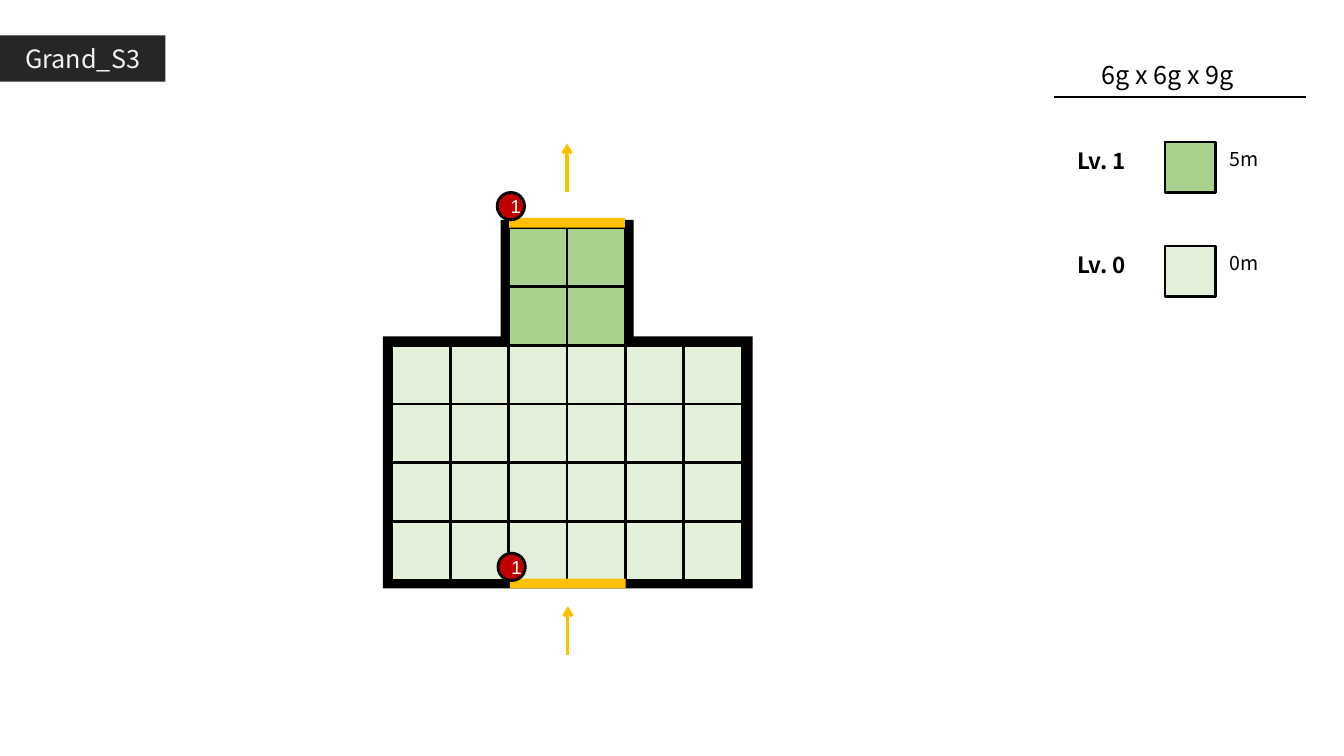
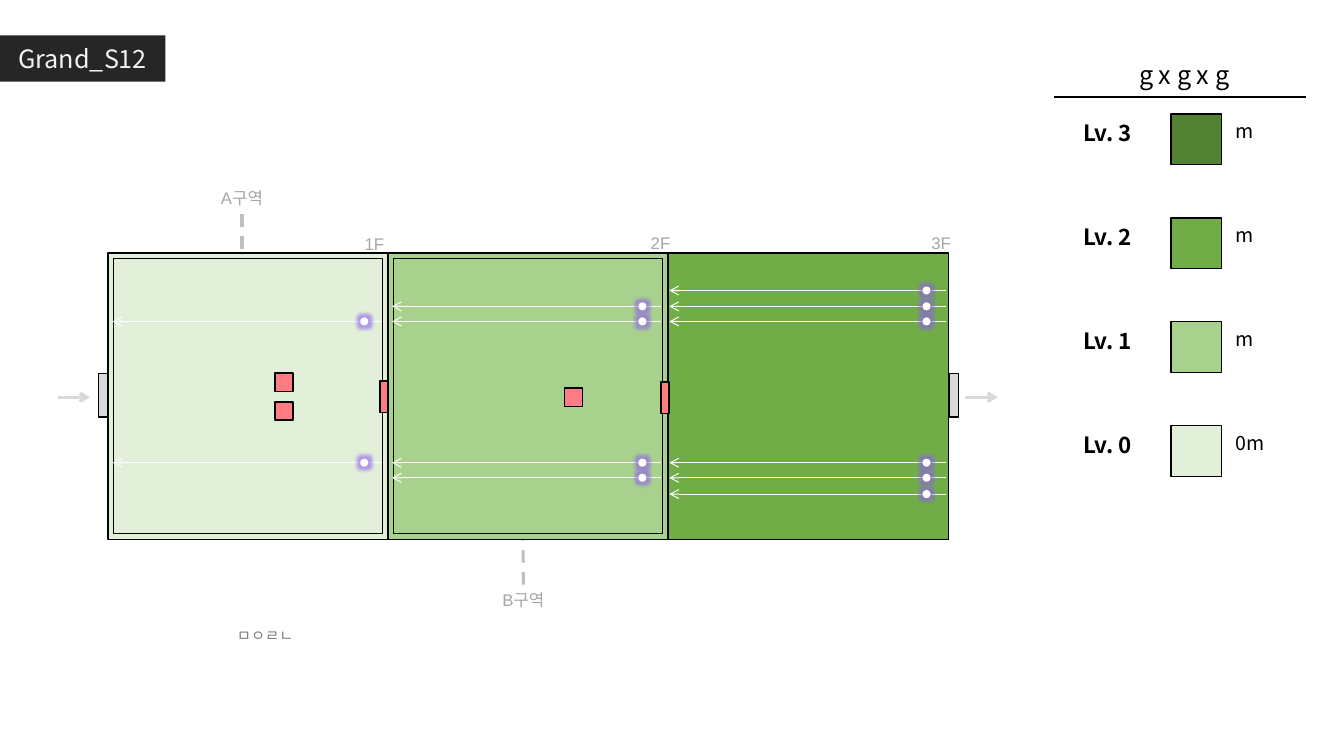
"""Build two level-design floor plans, each with a title band and a height legend."""
from dataclasses import dataclass

from lxml.etree import SubElement
from pptx import Presentation
from pptx.dml.color import RGBColor
from pptx.enum.dml import MSO_LINE
from pptx.enum.shapes import MSO_CONNECTOR, MSO_SHAPE
from pptx.enum.text import MSO_ANCHOR, MSO_AUTO_SIZE, PP_ALIGN
from pptx.oxml.ns import qn
from pptx.util import Cm, Pt


@dataclass(frozen=True)
class Theme:
    levels: tuple = ("E2F0D9", "A9D18E", "70AD47", "548235")
    ink: str = "000000"
    white: str = "FFFFFF"
    band: str = "262626"
    band_text: str = "F2F2F2"
    gate: str = "FFC000"
    badge: str = "C00000"
    obstacle: str = "FF7C80"
    exit: str = "D9D9D9"
    guide: str = "BFBFBF"
    label: str = "A6A6A6"
    memo: str = "808080"
    glow: str = "8F5FF0"
    sans: str = "Noto Sans CJK KR"
    plain: str = "Arial"
    title_size: float = 18
    level_size: float = 16
    height_size: float = 14
    badge_size: float = 13.4
    label_size: float = 12
    memo_size: float = 11


THEME = Theme()

HALL = {
    "title": "Grand_S3",
    "size": ("6g x 6g x 9g", 26.64),
    "legend": ["0m", "5m"],
    "legend_at": (29.36, 3.58),
    "legend_line": 2,
}
HALL_WALLS = [(12.62, 5.54, 3.35, 3.2), (9.65, 8.48, 9.32, 6.35)]
HALL_ROWS = ["  11  ", "  11  ", "000000", "000000", "000000", "000000"]
HALL_LEFT, HALL_TOP, CELL_WIDTH, CELL_HEIGHT = 9.88, 5.74, 1.47, 1.48
HALL_GATES = [(12.83, 5.49, 4.85), (12.85, 14.58, 16.51)]
GATE_WIDTH, GATE_ARROW = 2.92, 1.23

TOWER = {
    "title": "Grand_S12",
    "size": ("g x g x g", 27.05),
    "legend": ["0m", "m", "m", "m"],
    "legend_at": (29.51, 2.87),
    "legend_line": 1,
}
ROOM_LEFT, ROOM_TOP, ROOM_WIDTH, ROOM_HEIGHT, ROOM_INSET = 2.72, 6.38, 7.06, 7.21, 0.14
FLOORS = [("1F", 8.94, 5.77), ("2F", 16.15, 5.74), ("3F", 23.22, 5.74)]
EXITS = [(2.49, 1.45), (23.93, 24.33)]
ROOM_DOORS = [(9.58, 9.6), (16.66, 9.63)]
OBSTACLES = [(6.93, 9.4), (6.93, 10.13), (14.22, 9.78)]
ZONES = [
    ("A구역", 4.98, 4.6, (6.1, 6.27, 6.1, 5.18), "end"),
    ("B구역", 12.07, 14.73, (13.18, 14.73, 13.18, 13.61), "begin"),
]
RAY_PAIRS = [(8.1, 11.66), (7.72, 12.04), (7.32, 12.45)]
RAY_SPANS = [(9.63, 2.84, 9.18), (16.66, 9.88, 16.19), (23.85, 16.87, 23.35)]
DOT = 0.13


def colour(value):
    return RGBColor.from_string(value)


def write(shape, text, size, ink, font=THEME.sans, bold=False, align=PP_ALIGN.LEFT):
    paragraph = shape.text_frame.paragraphs[0]
    paragraph.alignment = align
    run = paragraph.add_run()
    run.text = text
    for name, value in {"name": font, "size": Pt(size), "bold": bold}.items():
        setattr(run.font, name, value)
    run.font.color.rgb = colour(ink)


def add_box(slide, at, fill, line=None, kind=MSO_SHAPE.RECTANGLE, ink=THEME.ink):
    shape = slide.shapes.add_shape(kind, *map(Cm, at))
    shape.shadow.inherit = False
    shape.fill.solid()
    shape.fill.fore_color.rgb = colour(fill)
    if line:
        shape.line.color.rgb = colour(ink)
        shape.line.width = Pt(line)
    else:
        shape.line.fill.background()
    return shape


def add_text(slide, at, text, size, ink=THEME.ink, wrap=True, **style):
    shape = slide.shapes.add_textbox(*map(Cm, at))
    frame = {
        "word_wrap": wrap,
        "auto_size": MSO_AUTO_SIZE.SHAPE_TO_FIT_TEXT,
        "vertical_anchor": MSO_ANCHOR.TOP,
    }
    for name, value in frame.items():
        setattr(shape.text_frame, name, value)
    write(shape, text, size, ink, **style)
    return shape


def add_line(slide, ends, ink, width, arrow=False, dash=None):
    connector = slide.shapes.add_connector(MSO_CONNECTOR.STRAIGHT, *map(Cm, ends))
    connector.line.color.rgb = colour(ink)
    connector.line.width = Pt(width)
    if dash:
        connector.line.dash_style = dash
    properties = connector.element.spPr
    if arrow:
        SubElement(properties.find(qn("a:ln")), qn("a:tailEnd"), type="arrow")
    SubElement(properties, qn("a:effectLst"))
    return connector


def add_glow(shape):
    effects = shape.element.spPr.find(qn("a:effectLst"))
    glow = SubElement(effects, qn("a:glow"), rad=str(Pt(5)))
    tint = SubElement(glow, qn("a:srgbClr"), val=THEME.glow)
    SubElement(tint, qn("a:alpha"), val="60000")


def add_plan(presentation, plan):
    slide = presentation.slides.add_slide(presentation.slide_layouts[6])
    band = add_box(slide, (0, 0.89, 4.17, 1.17), THEME.band)
    write(band, plan["title"], THEME.title_size, THEME.band_text, align=PP_ALIGN.CENTER)

    size_text, size_left = plan["size"]
    add_text(slide, (size_left, 1.37, 5.59, 1.02), size_text, THEME.title_size,
             align=PP_ALIGN.CENTER)
    add_line(slide, (26.57, 2.44, 32.92, 2.44), THEME.ink, 1)

    left, first_top = plan["legend_at"]
    heights = plan["legend"]
    for level, height in enumerate(heights):
        top = first_top + (len(heights) - 1 - level) * 2.62
        add_box(slide, (left, top, 1.28, 1.28), THEME.levels[level], plan["legend_line"])
        add_text(slide, (left - 2.46, top, 2.72, 0.91), f"Lv. {level}", THEME.level_size,
                 bold=True)
        add_text(slide, (left + 1.37, top, 1.8, 0.84), height, THEME.height_size)
    return slide


def draw_hall(slide):
    for wall in HALL_WALLS:
        add_box(slide, wall, THEME.ink)
    for row, cells in enumerate(HALL_ROWS):
        for column, level in enumerate(cells):
            if level.strip():
                at = (HALL_LEFT + column * CELL_WIDTH, HALL_TOP + row * CELL_HEIGHT,
                      CELL_WIDTH, CELL_HEIGHT)
                add_box(slide, at, THEME.levels[int(level)], 2)
    for left, top, arrow_start in HALL_GATES:
        add_box(slide, (left, top, GATE_WIDTH, 0.25), THEME.gate)
        badge = add_box(slide, (left - 0.3, top - 0.64, 0.69, 0.69), THEME.badge, 2,
                        MSO_SHAPE.OVAL)
        write(badge, "1", THEME.badge_size, THEME.white, THEME.plain, align=PP_ALIGN.CENTER)
        middle = left + GATE_WIDTH / 2
        add_line(slide, (middle, arrow_start, middle, arrow_start - GATE_ARROW),
                 THEME.gate, 2.25, arrow=True)


def draw_rooms(slide):
    for index, (floor, label_left, label_top) in enumerate(FLOORS):
        left, fill = ROOM_LEFT + index * ROOM_WIDTH, THEME.levels[index]
        add_box(slide, (left, ROOM_TOP, ROOM_WIDTH, ROOM_HEIGHT), fill, 1)
        if index < len(FLOORS) - 1:
            inner = (left + ROOM_INSET, ROOM_TOP + ROOM_INSET,
                     ROOM_WIDTH - 2 * ROOM_INSET, ROOM_HEIGHT - 2 * ROOM_INSET)
            add_box(slide, inner, fill, 1)
        add_text(slide, (label_left, label_top, 2.39, 0.58), floor, THEME.label_size,
                 THEME.label, font=THEME.plain)


def draw_tower(slide):
    draw_rooms(slide)
    for left, arrow_left in EXITS:
        add_box(slide, (left, 9.42, 0.23, 1.09), THEME.exit, 1)
        add_line(slide, (arrow_left, 10.01, arrow_left + 0.81, 10.01), THEME.exit, 2.25,
                 arrow=True)
    for left, top in ROOM_DOORS:
        add_box(slide, (left, top, 0.2, 0.79), THEME.obstacle, 1)
    for left, top in OBSTACLES:
        add_box(slide, (left, top, 0.46, 0.46), THEME.obstacle, 1)
    for name, left, top, ends, joined in ZONES:
        label = add_text(slide, (left, top, 2.24, 0.58), name, THEME.label_size, THEME.label,
                         font=THEME.plain, align=PP_ALIGN.CENTER)
        guide = add_line(slide, ends, THEME.guide, 2.25, dash=MSO_LINE.DASH)
        if joined == "end":
            guide.end_connect(label, 2)
        else:
            guide.begin_connect(label, 0)

    rays = [(span, y) for index, span in enumerate(RAY_SPANS)
            for pair in RAY_PAIRS[:index + 1] for y in pair]
    for (start, end, _), y in rays:
        add_line(slide, (start, y, end, y), THEME.white, 0.75, arrow=True)
    for (_, _, middle), y in rays:
        dot = add_box(slide, (middle - DOT / 2, y - DOT / 2, DOT, DOT), THEME.white, 2,
                      MSO_SHAPE.OVAL, THEME.white)
        add_glow(dot)
    add_text(slide, (5.72, 15.65, 2.08, 0.74), "ㅁㅇㄹㄴ", THEME.memo_size, THEME.memo,
             wrap=False, font=THEME.plain)


def main():
    presentation = Presentation()
    presentation.slide_width, presentation.slide_height = Cm(33.87), Cm(19.05)
    for plan, draw in ((HALL, draw_hall), (TOWER, draw_tower)):
        draw(add_plan(presentation, plan))
    presentation.save("out.pptx")


if __name__ == "__main__":
    main()
